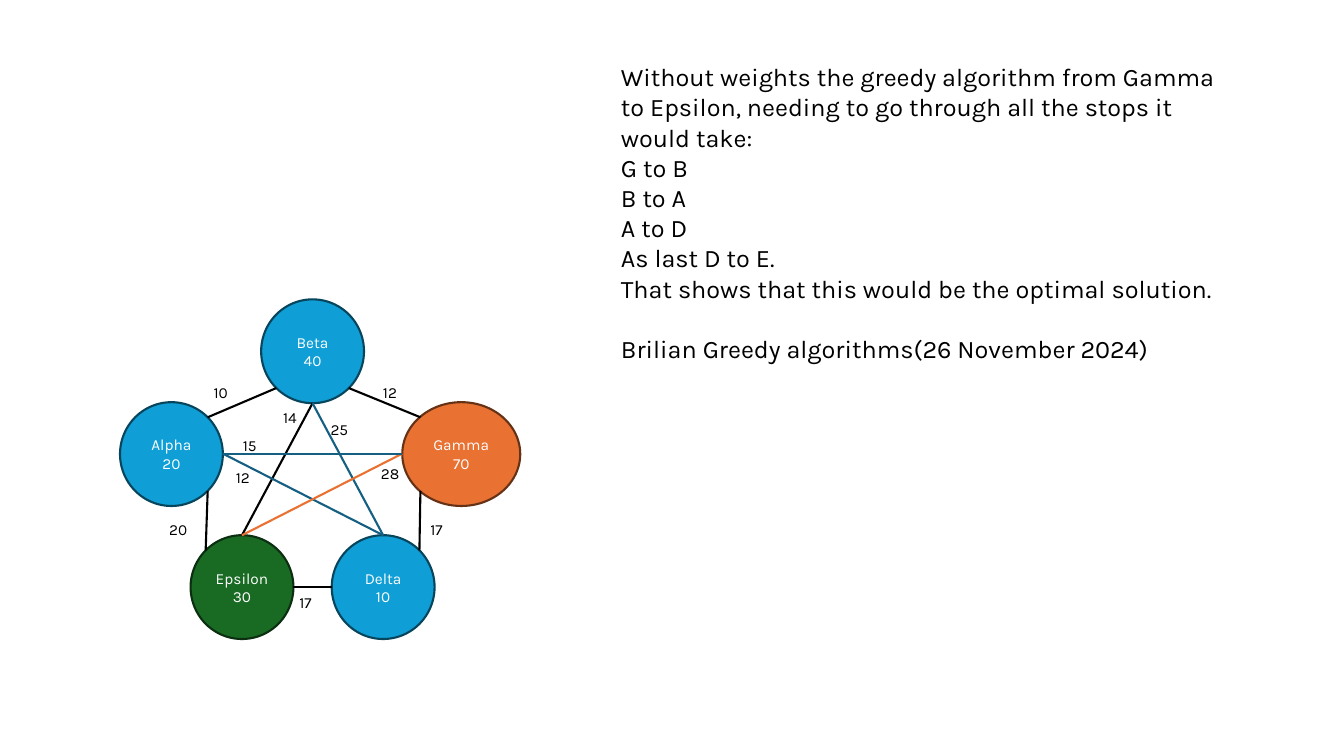
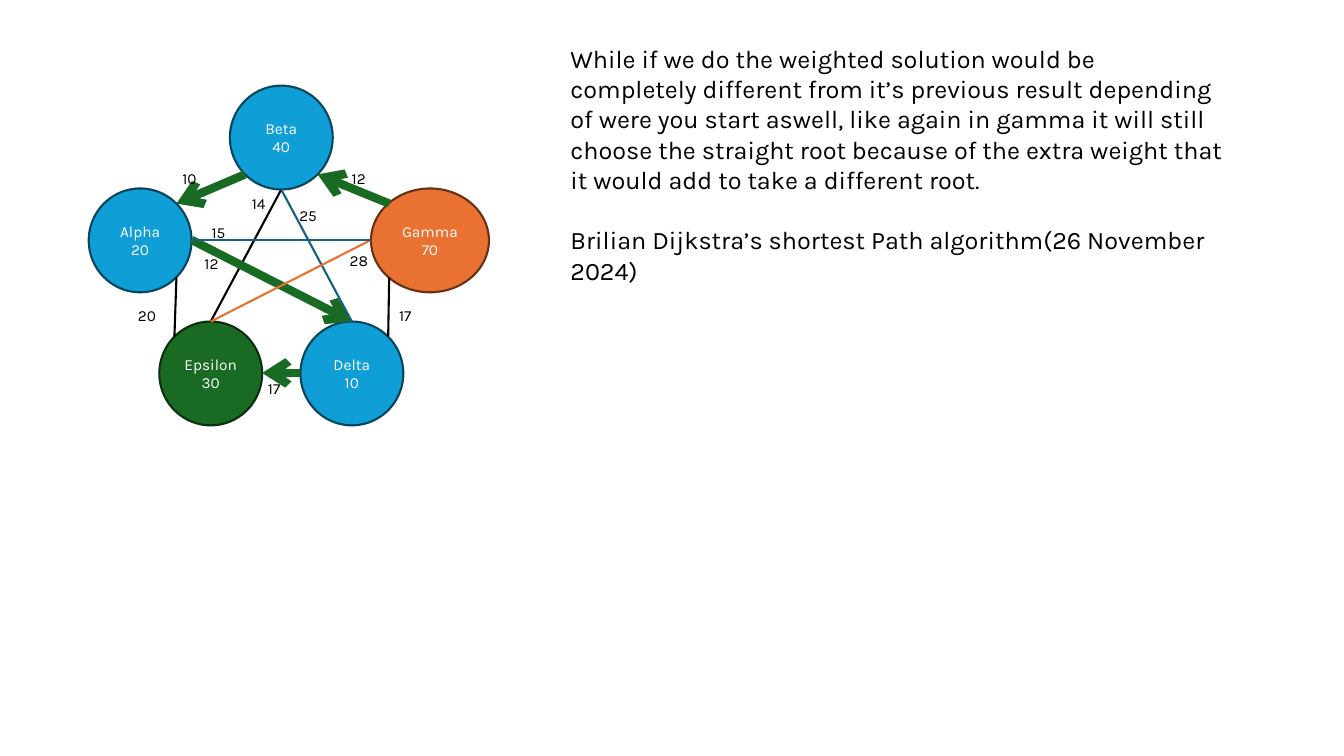
from lxml import etree
from pptx import Presentation, util as u
from pptx.dml.color import RGBColor
from pptx.enum import shapes, text
from pptx.oxml.ns import qn

PX = 9144  # EMU per px, 100 px to the inch
FONT = "Karla"
COLORS = {
    "black": "000000", "white": "FFFFFF", "teal": "156082",
    "blue": "0F9ED5", "blue_edge": "07455D",
    "orange": "E97132", "orange_edge": "663216",
    "green": "196B24", "green_edge": "0B2F10",
}

# Graph shared by both slides: name -> label, left, top, width, colour
NODE_H = 103
NODES = {
    "Epsilon": ("Epsilon 30", 189, 531, 102, "green"),
    "Alpha": ("Alpha 20", 119, 399, 102, "blue"),
    "Beta": ("Beta\n40", 259, 297, 102, "blue"),
    "Delta": ("Delta\n10", 329, 531, 102, "blue"),
    "Gamma": ("Gamma\n70", 399, 399, 117, "orange"),
}
# Points on an ellipse as fractions of its width and height
SITES = {
    "N": (0.5, 0), "S": (0.5, 1), "W": (0, 0.5), "E": (1, 0.5),
    "NW": (0.15, 0.15), "NE": (0.85, 0.15), "SW": (0.15, 0.85), "SE": (0.85, 0.85),
}
# start, site, end, site, colour, weight, label left, label top
EDGES = [
    ("Beta", "SW", "Alpha", "NE", "black", "10", 202, 375),
    ("Gamma", "NW", "Beta", "SE", "black", "12", 370, 375),
    ("Gamma", "SW", "Delta", "NE", "black", "17", 417, 511),
    ("Delta", "W", "Epsilon", "E", "black", "17", 287, 583),
    ("Alpha", "SE", "Epsilon", "NW", "black", "20", 158, 511),
    ("Beta", "S", "Epsilon", "N", "black", "14", 271, 400),
    ("Alpha", "E", "Delta", "N", "teal", "12", 224, 459),
    ("Beta", "S", "Delta", "N", "teal", "25", 318, 412),
    ("Gamma", "W", "Epsilon", "N", "orange", "28", 368, 456),
    ("Alpha", "E", "Gamma", "W", "teal", "15", 231, 428),
]

# Per slide: graph offset, highlighted route, text box, paragraphs
SLIDES = [
    {
        "offset": (0, 0), "route": [], "box": (606, 56, 632, 283),
        "lines": [
            "Without weights the greedy algorithm from Gamma to Epsilon, "
            "needing to go through all the stops it would take:",
            "G to B", "B to A", "A to D", "As last D to E.",
            "That shows that this would be the optimal solution.",
            "Brilian Greedy algorithms(26 November 2024)",
        ],
    },
    {
        "offset": (-31, -212), "box": (556, 38, 667, 252),
        "route": [("Gamma", "Beta"), ("Beta", "Alpha"), ("Alpha", "Delta"), ("Delta", "Epsilon")],
        "lines": [
            "While if we do the weighted solution would be completely different "
            "from it’s previous result depending of were you start aswell, like "
            "again in gamma it will still choose the straight root because of the "
            "extra weight that it would add to take a different root.",
            "Brilian Dijkstra’s shortest Path algorithm(26 November 2024)",
        ],
    },
]


def write(shape, lines, size=11, color="black", align=None, anchor=None, last_gap=0):
    """Fill a shape with paragraphs; last_gap is the space above the last one."""
    tf = shape.text_frame
    tf.word_wrap = True
    tf.vertical_anchor = anchor
    for i, line in enumerate(lines):
        p = tf.paragraphs[0] if i == 0 else tf.add_paragraph()
        p.alignment = align
        r = p.add_run()
        r.text = line
        r.font.size = u.Pt(size)
        r.font.name = FONT
        r.font.color.rgb = RGBColor.from_string(COLORS[color])
    if last_gap:
        p.space_before = u.Pt(last_gap)


def set_line(shape, color, width=1.5):
    shape.line.color.rgb = RGBColor.from_string(COLORS[color])
    shape.line.width = u.Pt(width)


prs = Presentation()
prs.slide_width = u.Inches(13.33)
prs.slide_height = u.Inches(7.5)

for slide in SLIDES:
    s = prs.slides.add_slide(prs.slide_layouts[6])
    dx, dy = slide["offset"]

    # Nodes
    for label, x, y, w, color in NODES.values():
        sp = s.shapes.add_shape(shapes.MSO_SHAPE.OVAL, (x + dx) * PX, (y + dy) * PX, w * PX, NODE_H * PX)
        sp.shadow.inherit = False
        sp.fill.solid()
        sp.fill.fore_color.rgb = RGBColor.from_string(COLORS[color])
        set_line(sp, color + "_edge")
        write(sp, label.split("\n"), color="white",
              align=text.PP_ALIGN.CENTER, anchor=text.MSO_ANCHOR.MIDDLE)

    # Edges, with thick arrows along the route
    for start, start_site, end, end_site, color, *_ in EDGES:
        ends = []
        for name, site in ((start, start_site), (end, end_site)):
            _, x, y, w, _ = NODES[name]
            fx, fy = SITES[site]
            ends += [round(x + dx + fx * w) * PX, round(y + dy + fy * NODE_H) * PX]
        line = s.shapes.add_connector(shapes.MSO_CONNECTOR.STRAIGHT, *ends)
        if (start, end) in slide["route"]:
            set_line(line, "green", 6)
            etree.SubElement(line.line._get_or_add_ln(), qn("a:tailEnd"), type="arrow")
        else:
            set_line(line, color)
        etree.SubElement(line._element.spPr, qn("a:effectLst"))

    # Edge weights
    for *_, weight, x, y in EDGES:
        write(s.shapes.add_textbox((x + dx) * PX, (y + dy) * PX, 44 * PX, 29 * PX), [weight])

    # Explanation
    box = s.shapes.add_textbox(*(v * PX for v in slide["box"]))
    write(box, slide["lines"], size=18, last_gap=21.6)

prs.save("out.pptx")
